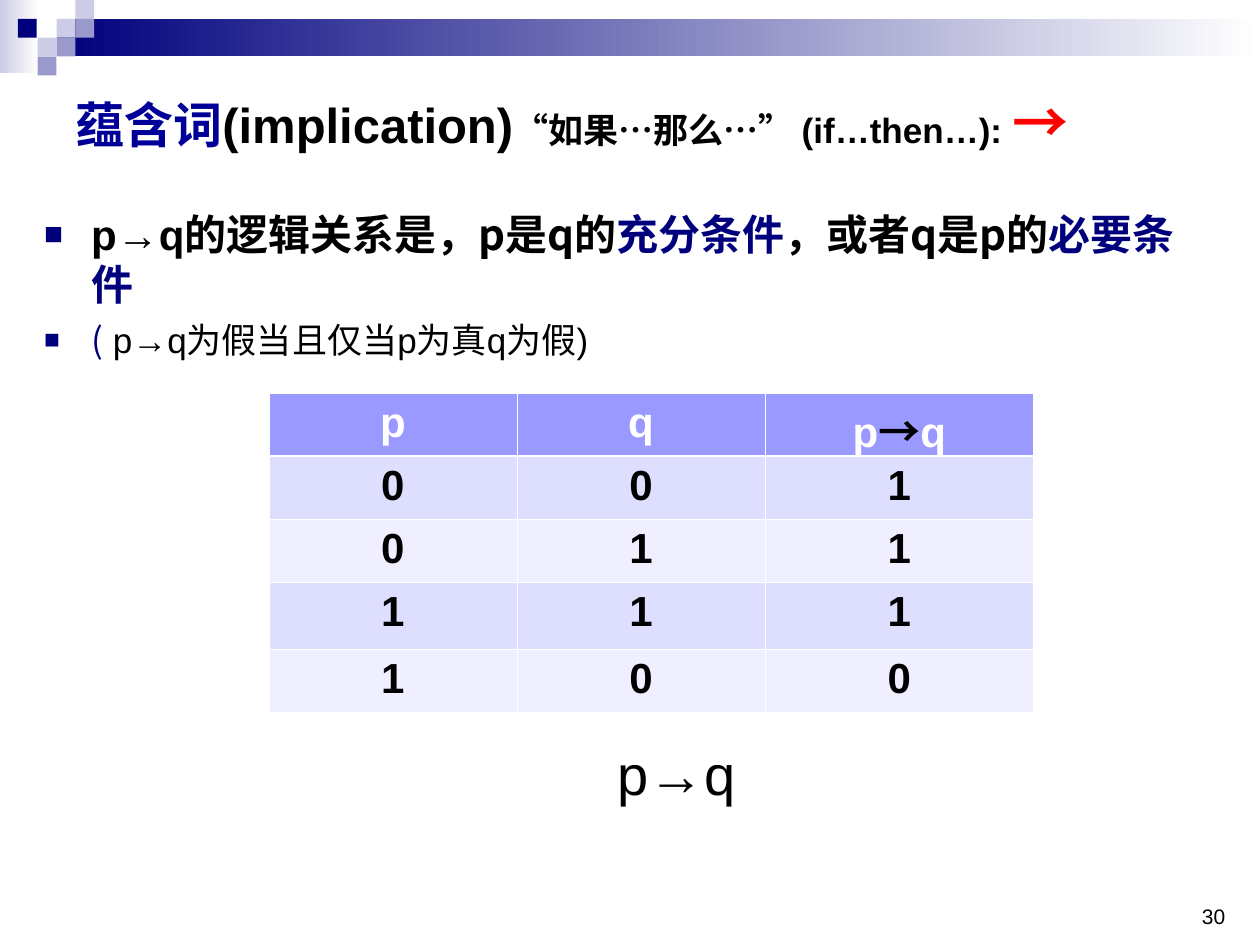
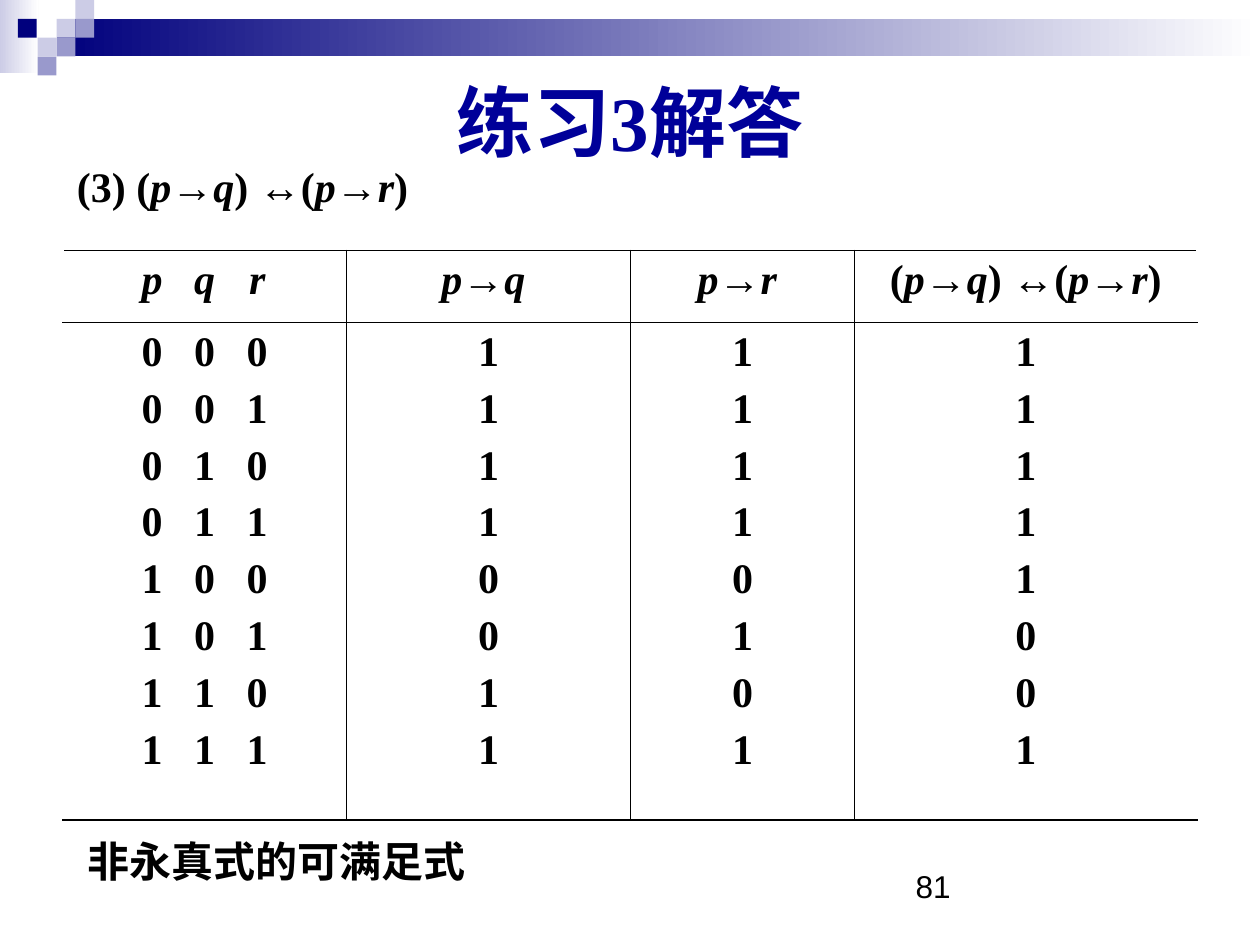
from itertools import groupby

from lxml.etree import SubElement
from pptx import Presentation
from pptx.dml.color import RGBColor
from pptx.enum.shapes import MSO_SHAPE
from pptx.enum.text import MSO_ANCHOR as ANCHOR, MSO_AUTO_SIZE as AUTO_SIZE, PP_ALIGN as ALIGN
from pptx.oxml.ns import qn
from pptx.util import Cm, Pt

paint = RGBColor.from_string
BLACK, WHITE, RED = "000000", "FFFFFF", "FF0000"
NAVY, TITLE_BLUE = "00007D", "000099"
PALE, MIDDLE = "CCCCE6", "9999CC"
SANS, SERIF, CJK = "Arial", "Times New Roman", "Noto Sans CJK SC"


def write(paragraph, text, size=24, color=BLACK, font=SANS, bold=False, formula=False):
    parts = [((False, False), text)]
    if formula:
        parts = groupby(text, lambda mark: (mark in "→↔", mark.isalpha()))
    for (is_arrow, is_variable), marks in parts:
        run = paragraph.add_run()
        run.text = "".join(marks)
        run.font.size = Pt(size)
        run.font.bold = bold
        run.font.italic = is_variable
        run.font.color.rgb = paint(color)
        run.font.name = SANS if is_arrow else font
        SubElement(run.font._element, qn("a:ea"), typeface=CJK)


def border(cell, color, **widths):
    properties = cell._tc.get_or_add_tcPr()
    for side in "LRTB":
        if side in widths:
            line = SubElement(properties, qn(f"a:ln{side}"), w=str(Pt(widths[side])))
            fill = SubElement(line, qn("a:solidFill"))
            SubElement(fill, qn("a:srgbClr"), val=color)


prs = Presentation()
prs.slide_width, prs.slide_height = Cm(25.4), Cm(19.05)
title_only = prs.slide_layouts[5]
implication = prs.slides.add_slide(title_only)
answer = prs.slides.add_slide(title_only)

# fmt: off
band_parts = [
    (0, 0, 0.78, 1.48, PALE, True),
    (1.14, 0.38, 24.26, 0.76, NAVY, True),
    (1.14, 0.38, 0.38, 0.38, PALE, False),
    (1.52, 0, 0.38, 0.38, PALE, False),
    (1.52, 0.38, 0.38, 0.38, MIDDLE, False),
    (0.76, 0.76, 0.38, 0.38, PALE, False),
    (0.36, 0.38, 0.38, 0.38, NAVY, False),
    (1.14, 0.76, 0.38, 0.38, MIDDLE, False),
    (0.76, 1.14, 0.38, 0.38, MIDDLE, False),
]
# fmt: on
for number, (left, top, width, height, color, fades) in enumerate(band_parts):
    part = implication.shapes.add_shape(
        MSO_SHAPE.RECTANGLE, Cm(left), Cm(top), Cm(width), Cm(height))
    part.shadow.inherit = False
    part.line.fill.background()
    if fades:
        part.fill.gradient()
        part.fill.gradient_angle = 0
        for stop, shade in zip(part.fill.gradient_stops, (color, WHITE)):
            stop.color.rgb = paint(shade)
    else:
        part.fill.solid()
        part.fill.fore_color.rgb = paint(color)
    part.element.nvSpPr.cNvPr.id = 20 + number
    title_only.shapes.element.append(part.element)

titles = [
    (implication, 23.7, ALIGN.LEFT, [
        ("蕴含词", dict(size=28, color=TITLE_BLUE)),
        ("(implication)", dict(size=28)),
        ("“如果…那么…”", dict(size=20, font=CJK)),
        (" (if…then…): ", dict(size=20)),
        ("→", dict(size=32, color=RED, font=CJK)),
    ]),
    (answer, 22.86, ALIGN.CENTER, [
        ("练习", dict(size=44, color=TITLE_BLUE)),
        ("3解答", dict(size=44, color=TITLE_BLUE, font=SERIF)),
    ]),
]
for slide, width, align, runs in titles:
    title = slide.shapes.title
    title.left, title.top, title.width, title.height = Cm(1.27), Cm(1.27), Cm(width), Cm(2.34)
    title.text_frame.auto_size = AUTO_SIZE.NONE
    title.text_frame.vertical_anchor = ANCHOR.MIDDLE
    heading = title.text_frame.paragraphs[0]
    heading.alignment = align
    for text, style in runs:
        write(heading, text, bold=True, **style)

points = [
    [
        ("p→q", dict(bold=True)),
        ("的逻辑关系是，p是q的", dict(bold=True, font=CJK)),
        ("充分条件", dict(bold=True, font=CJK, color=NAVY)),
        ("，或者q是p的", dict(bold=True, font=CJK)),
        ("必要条件", dict(bold=True, font=CJK, color=NAVY)),
    ],
    [
        ("(", dict(size=20, font=CJK, color=NAVY)),
        (" p→q为假当且仅当p为真q为假)", dict(size=20)),
    ],
]
explanation = implication.shapes.add_textbox(Cm(0.64), Cm(4.08), Cm(24.13), Cm(12.5)).text_frame
explanation.word_wrap = True
for number, runs in enumerate(points):
    point = explanation.add_paragraph() if number else explanation.paragraphs[0]
    point.line_spacing = 1.0
    if number:
        point.space_before = Pt(5)
    properties = point._p.get_or_add_pPr()
    properties.set("marL", str(Cm(0.95)))
    properties.set("indent", str(-Cm(0.95)))
    bullet_color = SubElement(properties, qn("a:buClr"))
    SubElement(bullet_color, qn("a:srgbClr"), val=NAVY)
    SubElement(properties, qn("a:buSzPct"), val="75000")
    SubElement(properties, qn("a:buFont"), typeface=SANS)
    SubElement(properties, qn("a:buChar"), char="■")
    for text, style in runs:
        write(point, text, **style)

labels = [
    (implication, 23.93, 18.21, 1.07, 0.64, ANCHOR.BOTTOM, ALIGN.CENTER, "30", dict(size=12)),
    (implication, 12.19, 14.78, 3.2, 1.63, ANCHOR.TOP, ALIGN.LEFT, "p→q", dict(size=32)),
    (answer, 18.21, 17.35, 5.92, 1.32, ANCHOR.TOP, ALIGN.LEFT, "81", dict(size=18)),
    (answer, 1.3, 3.12, 12.8, 1.27, ANCHOR.TOP, ALIGN.LEFT, "(3) (p→q) ↔(p→r)",
     dict(font=SERIF, bold=True, formula=True)),
    (answer, 1.52, 16.71, 8.5, 1.27, ANCHOR.MIDDLE, ALIGN.LEFT, "非永真式的可满足式",
     dict(font=SERIF, bold=True)),
]
for slide, left, top, width, height, anchor, align, text, style in labels:
    frame = slide.shapes.add_textbox(Cm(left), Cm(top), Cm(width), Cm(height)).text_frame
    frame.word_wrap = True
    frame.vertical_anchor = anchor
    frame.paragraphs[0].alignment = align
    write(frame.paragraphs[0], text, **style)

truth_rows = [("p", "q", "p→q"), "001", "011", "111", "100"]
row_fills = ["9999FF", "DEDEFF", "EFEFFF", "DEDEFF", "EFEFFF"]
truth = implication.shapes.add_table(5, 3, Cm(5.42), Cm(7.92), Cm(15.42), Cm(6.45)).table
for column, width in zip(truth.columns, (5, 5, 5.42)):
    column.width = Cm(width)
for r, (values, fill, height) in enumerate(zip(truth_rows, row_fills, (1.27, 1.27, 1.27, 1.35, 1.27))):
    truth.rows[r].height = Cm(height)
    for c, value in enumerate(values):
        cell = truth.cell(r, c)
        border(cell, WHITE, L=0.45, R=0.45, T=1.47 if r == 1 else 0.45, B=1.47 if r == 0 else 0.45)
        cell.fill.solid()
        cell.fill.fore_color.rgb = paint(fill)
        entry = cell.text_frame.paragraphs[0]
        entry.alignment = ALIGN.CENTER
        for mark in value:
            if mark == "→":
                write(entry, mark, font=CJK, bold=True)
            else:
                write(entry, mark, color=BLACK if r else WHITE, bold=True)

assignments = [f"\t{p}\t{q}\t{r}" for p in "01" for q in "01" for r in "01"]
solution_columns = [
    (5.72, "\tp\tq\tr", assignments),
    (5.72, "p→q ", "11110011"),
    (4.52, "p→r ", "11110101"),
    (6.9, "(p→q) ↔(p→r)", "11111001"),
]
solution = answer.shapes.add_table(2, 4, Cm(1.27), Cm(5.05), Cm(22.86), Cm(11.48)).table
solution.first_row = solution.horz_banding = False
solution.rows[0].height, solution.rows[1].height = Cm(1.45), Cm(10.03)
for c, (width, header, values) in enumerate(solution_columns):
    solution.columns[c].width = Cm(width)
    sides = {side: 0.45 for side, shown in (("L", c > 0), ("R", c < 3)) if shown}
    for r, lines in enumerate(([header], values)):
        cell = solution.cell(r, c)
        border(cell, BLACK, T=0.45 if r else 1.08, B=1.08 if r else 0.45, **sides)
        cell.fill.background()
        for number, line in enumerate(lines):
            entry = cell.text_frame.add_paragraph() if number else cell.text_frame.paragraphs[0]
            entry.alignment = ALIGN.CENTER if c else ALIGN.LEFT
            if number:
                entry.space_before = Pt(6)
            if c == 0:
                stops = SubElement(entry._p.get_or_add_pPr(), qn("a:tabLst"))
                for position in (1.54, 2.6, 3.66):
                    SubElement(stops, qn("a:tab"), pos=str(Cm(position)), algn="ctr")
            write(entry, line, font=SERIF, bold=True, formula=r == 0)

prs.save("out.pptx")
